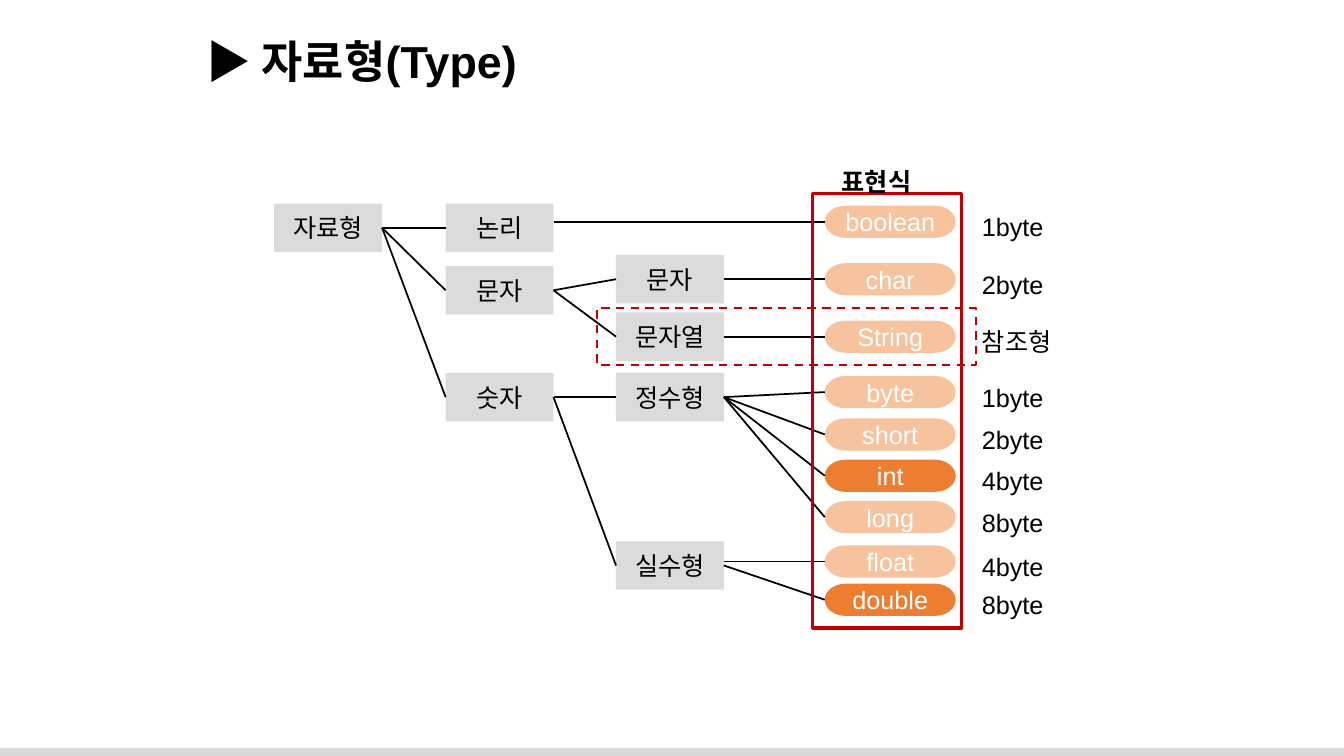
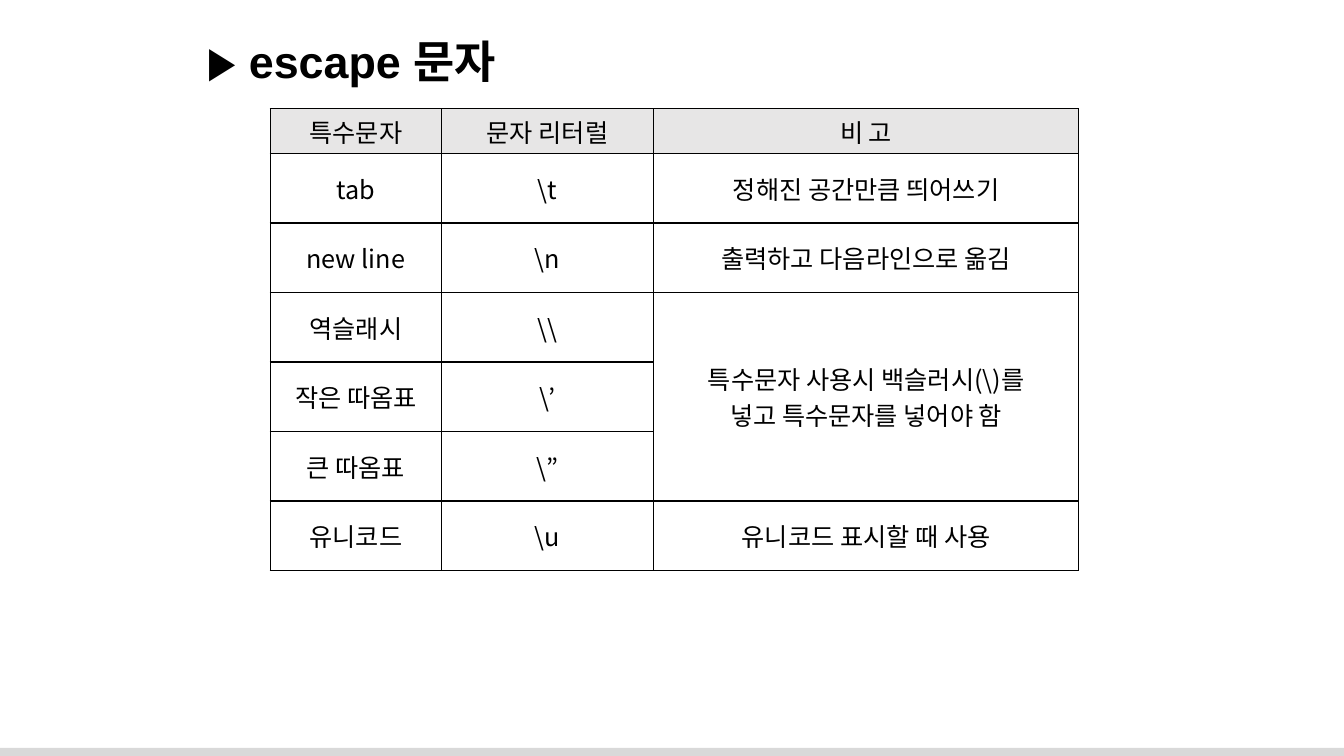
from pptx import Presentation
from pptx.dml.color import RGBColor
from pptx.enum.dml import MSO_LINE
from pptx.enum.shapes import MSO_CONNECTOR, MSO_SHAPE
from pptx.enum.text import MSO_ANCHOR, MSO_AUTO_SIZE, PP_ALIGN
from pptx.oxml.ns import qn
from pptx.util import Inches, Pt
from lxml.etree import SubElement

BLACK = RGBColor(0x00, 0x00, 0x00)
WHITE = RGBColor(0xFF, 0xFF, 0xFF)
BAND_GREY = RGBColor(0xD9, 0xD9, 0xD9)
NODE_GREY = RGBColor(0xDB, 0xDB, 0xDB)
HEADER_GREY = RGBColor(0xE7, 0xE6, 0xE6)
PEACH = RGBColor(0xF7, 0xC3, 0x9F)
ORANGE = RGBColor(0xED, 0x7D, 0x31)
RED = RGBColor(0xC0, 0x00, 0x00)
LATIN, KOREAN = "Arial", "Noto Sans CJK KR"
TITLE_AREA = (1.95, 0.28, 9.45, 0.64)
BAND_AREA = (-0.03, 7.42, 13.39, 0.11)

NODE_COLUMNS = (2.72, 4.42, 6.11)
NODE_WIDTH, NODE_HEIGHT = 1.07, 0.48
KINDS = [
    ("type", "자료형", 0, 2.02),
    ("logic", "논리", 1, 2.02),
    ("text", "문자", 1, 2.64),
    ("number", "숫자", 1, 3.7),
    ("letter", "문자", 2, 2.53),
    ("letters", "문자열", 2, 3.1),
    ("whole", "정수형", 2, 3.7),
    ("real", "실수형", 2, 5.37),
]
KEYWORD_LEFT, KEYWORD_WIDTH, KEYWORD_HEIGHT = 8.18, 1.3, 0.32
KEYWORDS = [
    ("boolean", 2.04, "1byte"),
    ("char", 2.61, "2byte"),
    ("String", 3.18, "참조형"),
    ("byte", 3.73, "1byte"),
    ("short", 4.15, "2byte"),
    ("int", 4.56, "4byte"),
    ("long", 4.97, "8byte"),
    ("float", 5.41, "4byte"),
    ("double", 5.79, "8byte"),
]
DEFAULT_KEYWORDS = {"int", "double"}
BRANCHES = {
    "type": ["logic", "text", "number"],
    "logic": ["boolean"],
    "text": ["letter", "letters"],
    "number": ["whole", "real"],
    "letter": ["char"],
    "letters": ["String"],
    "whole": ["byte", "short", "int", "long"],
    "real": ["float", "double"],
}
LEVEL_BRANCHES = {"boolean", "float"}
SIZE_LEFT, SIZE_WIDTH, SIZE_HEIGHT = 9.64, 1.1, 0.4
KEYWORD_FRAME = (8.06, 1.92, 1.48, 4.31)
REFERENCE_FRAME = (5.92, 3.06, 3.76, 0.56)

ESCAPES = [
    ("특수문자", "문자 리터럴", "비 고"),
    ("tab", "\\t", "정해진 공간만큼 띄어쓰기"),
    ("new line", "\\n", "출력하고 다음라인으로 옮김"),
    ("역슬래시", "\\\\", "특수문자 사용시 백슬러시(\\)를\n넣고 특수문자를 넣어야 함"),
    ("작은 따옴표", "\\’", ""),
    ("큰 따옴표", "\\”", ""),
    ("유니코드", "\\u", "유니코드 표시할 때 사용"),
]
NOTE_ROWS = (3, 5)
ESCAPE_COLUMNS = (1.7, 2.1, 4.22)
HEADER_HEIGHT, ROW_HEIGHT = 0.43, 0.69


def inches(area):
    return [Inches(length) for length in area]


def write(frame, text, color=BLACK, size=18, bold=False, align=PP_ALIGN.LEFT, latin=LATIN):
    for index, line in enumerate(text.split("\n")):
        paragraph = frame.add_paragraph() if index else frame.paragraphs[0]
        paragraph.alignment = align
        run = paragraph.add_run()
        run.text = line
        font = run.font
        font.name, font.size, font.bold = latin, Pt(size), bold
        font.color.rgb = color
        SubElement(font._element, qn("a:ea"), typeface=KOREAN)


def add_block(slide, preset, area, fill=None, text="", color=BLACK):
    block = slide.shapes.add_shape(preset, *inches(area))
    block.shadow.inherit = False
    block.line.fill.background()
    if fill is None:
        block.fill.background()
    else:
        block.fill.solid()
        block.fill.fore_color.rgb = fill
    if text:
        block.text_frame.vertical_anchor = MSO_ANCHOR.MIDDLE
        write(block.text_frame, text, color, align=PP_ALIGN.CENTER)
    return block


def add_frame(slide, area, width, dash=None):
    line = add_block(slide, MSO_SHAPE.RECTANGLE, area).line
    line.color.rgb, line.width = RED, Pt(width)
    if dash:
        line.dash_style = dash


def add_label(slide, area, text, bold=False):
    frame = slide.shapes.add_textbox(*inches(area)).text_frame
    frame.word_wrap = True
    write(frame, text, bold=bold)


def add_branch(slide, parent, child, level):
    middle = child.top + child.height // 2
    branch = slide.shapes.add_connector(
        MSO_CONNECTOR.STRAIGHT, parent.left + parent.width, middle, child.left, middle)
    if not level:
        branch.begin_connect(parent, 3)
        branch.end_connect(child, 1)
    branch.line.color.rgb, branch.line.width = BLACK, Pt(1.25)
    SubElement(branch._element.spPr, qn("a:effectLst"))


def add_titled_slide(deck, title):
    slide = deck.slides.add_slide(deck.slide_layouts[5])
    frame = slide.shapes.title.text_frame
    frame.word_wrap = True
    frame.auto_size = MSO_AUTO_SIZE.NONE
    frame.vertical_anchor = MSO_ANCHOR.TOP
    write(frame, title, size=32, bold=True)
    return slide


def set_borders(cell):
    for edge in ("a:lnL", "a:lnR", "a:lnT", "a:lnB"):
        border = SubElement(cell._tc.get_or_add_tcPr(), qn(edge), w=str(Pt(1)))
        SubElement(SubElement(border, qn("a:solidFill")), qn("a:srgbClr"), val=str(BLACK))


def build_types(slide):
    blocks = {}
    for key, text, column, top in KINDS:
        area = (NODE_COLUMNS[column], top, NODE_WIDTH, NODE_HEIGHT)
        blocks[key] = add_block(slide, MSO_SHAPE.RECTANGLE, area, NODE_GREY, text)
    for keyword, top, size in KEYWORDS:
        area = (KEYWORD_LEFT, top, KEYWORD_WIDTH, KEYWORD_HEIGHT)
        fill = ORANGE if keyword in DEFAULT_KEYWORDS else PEACH
        blocks[keyword] = add_block(
            slide, MSO_SHAPE.FLOWCHART_TERMINATOR, area, fill, keyword, WHITE)
        add_label(slide, (SIZE_LEFT, top + 0.01, SIZE_WIDTH, SIZE_HEIGHT), size)
    for parent, children in BRANCHES.items():
        for child in children:
            add_branch(slide, blocks[parent], blocks[child], child in LEVEL_BRANCHES)
    add_frame(slide, KEYWORD_FRAME, 2.25)
    add_label(slide, (8.25, 1.6, SIZE_WIDTH, SIZE_HEIGHT), "표현식", bold=True)
    add_frame(slide, REFERENCE_FRAME, 1.5, MSO_LINE.DASH)


def build_escapes(slide):
    heights = [HEADER_HEIGHT] + [ROW_HEIGHT] * (len(ESCAPES) - 1)
    area = (2.68, 1.08, sum(ESCAPE_COLUMNS), sum(heights))
    table = slide.shapes.add_table(len(ESCAPES), len(ESCAPE_COLUMNS), *inches(area)).table
    table.first_row = table.horz_banding = False
    for column, width in zip(table.columns, ESCAPE_COLUMNS):
        column.width = Inches(width)
    for row, height in zip(table.rows, heights):
        row.height = Inches(height)
    first, last = NOTE_ROWS
    table.cell(first, 2).merge(table.cell(last, 2))
    for r, texts in enumerate(ESCAPES):
        for c, text in enumerate(texts):
            cell = table.cell(r, c)
            set_borders(cell)
            if r:
                cell.fill.background()
            else:
                cell.fill.solid()
                cell.fill.fore_color.rgb = HEADER_GREY
            cell.vertical_anchor = MSO_ANCHOR.MIDDLE
            cell.margin_left = cell.margin_right = Inches(0.07)
            cell.margin_top = cell.margin_bottom = Inches(0.04)
            if text:
                write(cell.text_frame, text, align=PP_ALIGN.CENTER, latin=KOREAN)


def main():
    deck = Presentation()
    deck.slide_width, deck.slide_height = Inches(13.33), Inches(7.5)
    layout = deck.slide_layouts[5]
    title = layout.placeholders[0]
    title.left, title.top, title.width, title.height = inches(TITLE_AREA)
    types = add_titled_slide(deck, "▶ 자료형(Type)")
    band = add_block(types, MSO_SHAPE.RECTANGLE, BAND_AREA, BAND_GREY)
    layout.shapes._spTree.append(band._element)
    build_types(types)
    build_escapes(add_titled_slide(deck, "▶ escape 문자"))
    deck.save("out.pptx")


if __name__ == "__main__":
    main()
